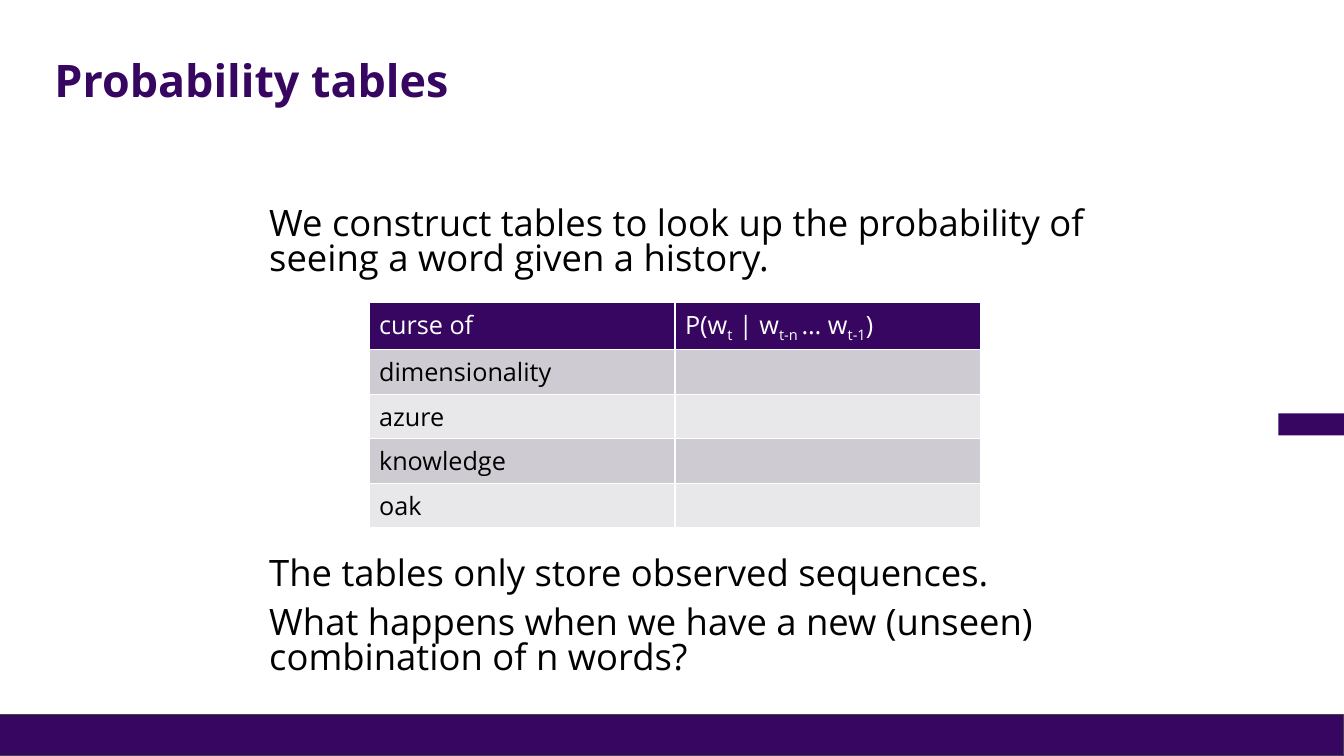
import pptx
import pptx.util
import pptx.dml.color
import pptx.enum.shapes
import pptx.enum.text
import pptx.oxml
import pptx.oxml.ns

WIDTH, HEIGHT = 13.33, 7.5
FONT = "Open Sans"
COLOURS = {
    "purple": "370661",
    "outline": "43454B",
    "text": "000000",
    "white": "FFFFFF",
    "band dark": "CECCD2",
    "band light": "E8E7EA",
}
STATEMENTS = [
    ("We construct tables to look up the probability of seeing a word given a history.", 0),
    ("The tables only store observed sequences.", 200),
    ("What happens when we have a new (unseen) combination of n words?", 10),
]
PROBABILITY = [("P(w", 0), ("t", -25), (" | w", 0), ("t-n ", -25),
               ("… w", 0), ("t-1", -25), (")", 0)]
WORDS = ["dimensionality", "azure", "knowledge", "oak"]


def colour(name):
    """Return the named colour."""
    return pptx.dml.color.RGBColor.from_string(COLOURS[name])


def place(shape, box):
    """Move a shape to a box given in inches."""
    shape.left, shape.top, shape.width, shape.height = map(pptx.util.Inches, box)


def write(para, text, size=18, ink="text", bold=False, baseline=0):
    """Add formatted text to a paragraph."""
    span = para.add_run()
    span.text = text
    span.font.name = FONT
    span.font.size = pptx.util.Pt(size)
    span.font.bold = bold
    span.font.color.rgb = colour(ink)
    if baseline:
        span.font._element.set("baseline", str(baseline * 1000))


def add_bar(page, box, outline=None):
    """Draw a solid purple bar."""
    bar = page.shapes.add_shape(
        pptx.enum.shapes.MSO_SHAPE.RECTANGLE, *map(pptx.util.Inches, box))
    bar.shadow.inherit = False
    bar.fill.solid()
    bar.fill.fore_color.rgb = colour("purple")
    if outline:
        bar.line.color.rgb = colour(outline)
        bar.line.width = pptx.util.Pt(0.75)
    else:
        bar.line.fill.background()


def add_frame(page):
    """Draw the footer bar and the tab on the right edge."""
    footer, tab_width = 0.41, 0.65
    add_bar(page, (0, HEIGHT - footer, WIDTH, footer), outline="outline")
    add_bar(page, (WIDTH - tab_width, 4.1, tab_width, 0.22))


def fill_title(page, box, text):
    """Place and write the slide title."""
    title = page.shapes.title
    place(title, box)
    title.text_frame.vertical_anchor = pptx.enum.text.MSO_ANCHOR.MIDDLE
    title.text_frame.auto_size = pptx.enum.text.MSO_AUTO_SIZE.NONE
    para = title.text_frame.paragraphs[0]
    para.alignment = pptx.enum.text.PP_ALIGN.LEFT
    para.line_spacing = 0.9
    write(para, text, size=32, ink="purple", bold=True)


def fill_body(page, box, statements):
    """Write the statements, leaving room for the table after the first."""
    body = page.placeholders[1]
    place(body, box)
    frame = body.text_frame
    frame.auto_size = pptx.enum.text.MSO_AUTO_SIZE.NONE
    frame.vertical_anchor = pptx.enum.text.MSO_ANCHOR.TOP
    for index, (text, space) in enumerate(statements):
        para = frame.add_paragraph() if index else frame.paragraphs[0]
        properties = para._p.get_or_add_pPr()
        properties.set("marL", "0")
        properties.set("indent", "0")
        properties.append(pptx.oxml.parse_xml(
            f'<a:buNone {pptx.oxml.ns.nsdecls("a")}/>'))
        para.line_spacing = 0.8
        para.space_before = pptx.util.Pt(space)
        write(para, text, size=26)


def style_cell(cell, fill):
    """Give a cell white borders and a solid fill."""
    properties = cell._tc.get_or_add_tcPr()
    for side in "LRTB":
        properties.append(pptx.oxml.parse_xml(
            f'<a:ln{side} {pptx.oxml.ns.nsdecls("a")} w="12700"><a:solidFill>'
            f'<a:srgbClr val="{COLOURS["white"]}"/></a:solidFill></a:ln{side}>'))
    cell.fill.solid()
    cell.fill.fore_color.rgb = colour(fill)


def add_probability_table(page, box):
    """Build the lookup table of words following a history."""
    rows = [[[("curse of", 0)], PROBABILITY]] + [[[(word, 0)], []] for word in WORDS]
    table = page.shapes.add_table(
        len(rows), 2, *map(pptx.util.Inches, box)).table
    for row, contents in enumerate(rows):
        fill = ("band dark" if row % 2 else "band light") if row else "purple"
        for column, parts in enumerate(contents):
            cell = table.cell(row, column)
            style_cell(cell, fill)
            for text, baseline in parts:
                write(cell.text_frame.paragraphs[0], text,
                      ink="text" if row else "white", baseline=baseline)


def main():
    """Build and save the slide."""
    deck = pptx.Presentation()
    deck.slide_width = pptx.util.Inches(WIDTH)
    deck.slide_height = pptx.util.Inches(HEIGHT)
    page = deck.slides.add_slide(deck.slide_layouts[1])
    add_frame(page)
    fill_title(page, (0.44, 0.4, 11.98, 0.84), "Probability tables")
    fill_body(page, (2.57, 2.02, 8.35, 4.98), STATEMENTS)
    add_probability_table(page, (3.66, 3, 6.07, 2))
    deck.save("out.pptx")


if __name__ == "__main__":
    main()
